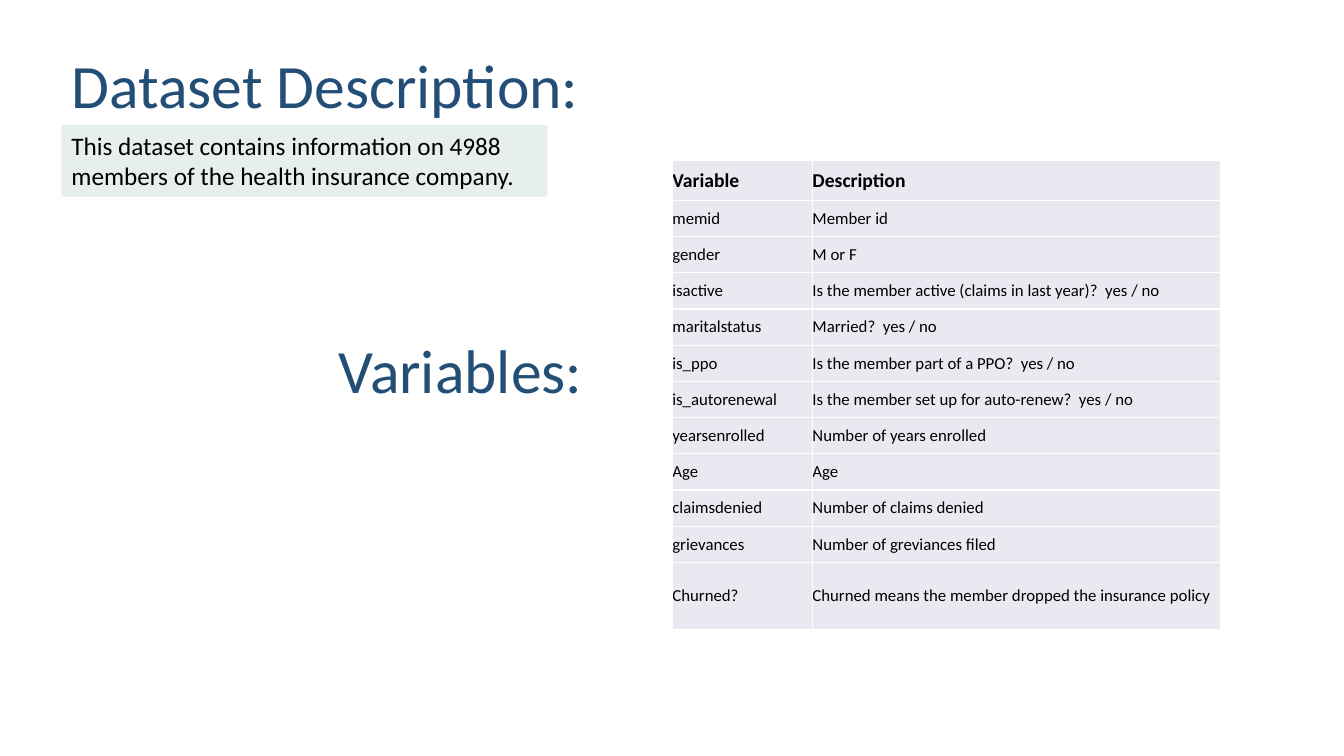
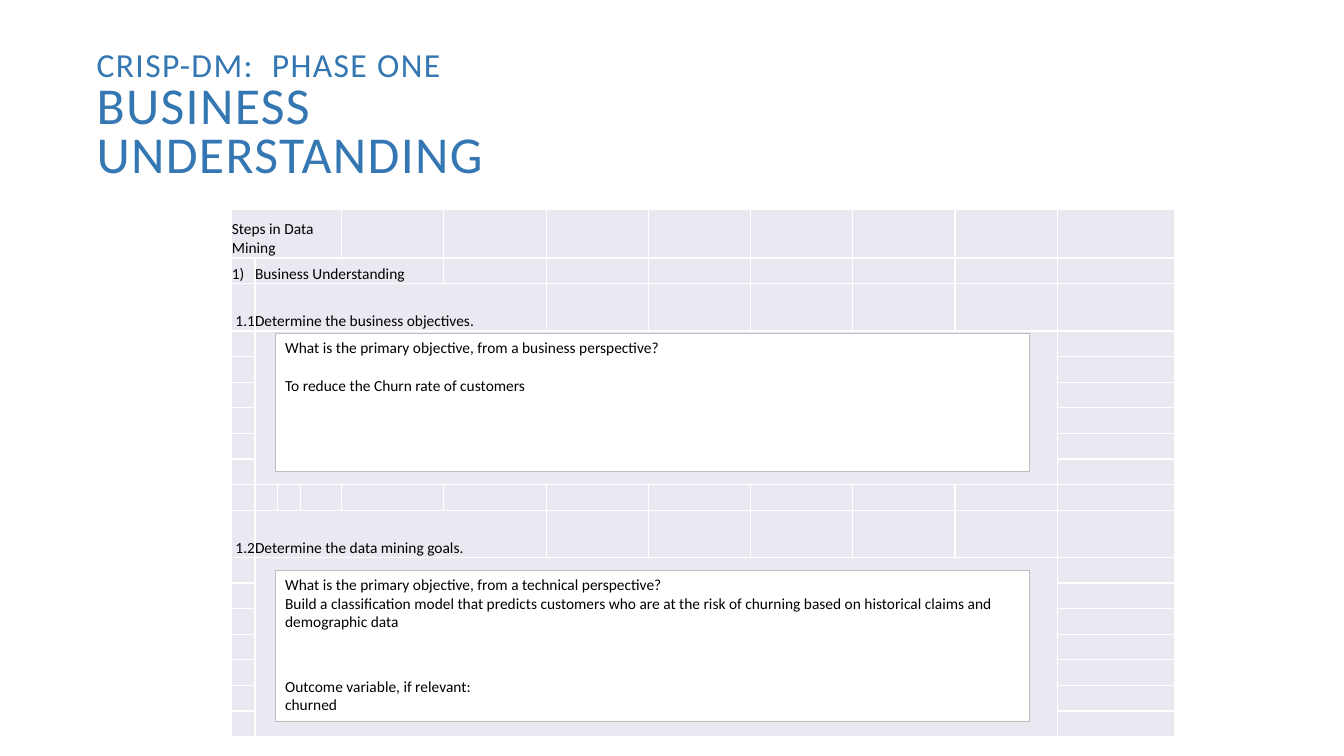
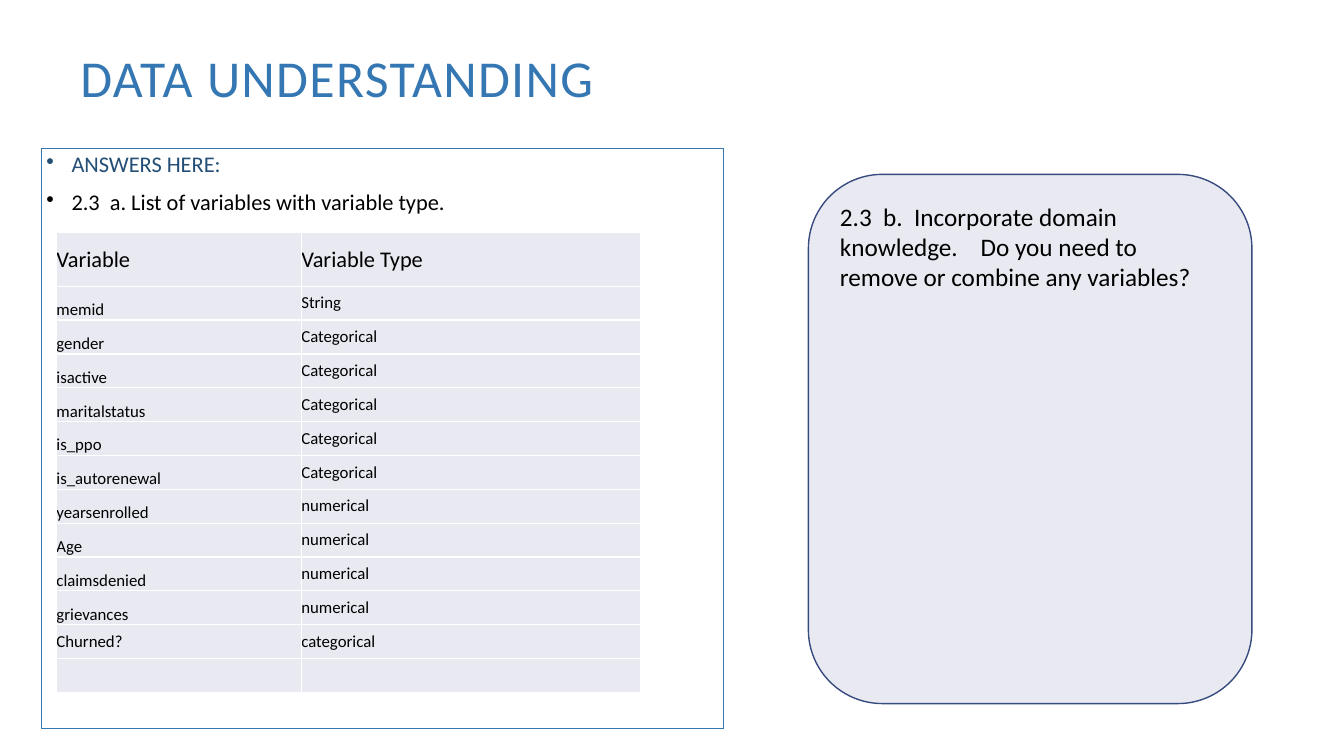
from collections import namedtuple
from dataclasses import dataclass

from lxml import etree
from pptx import Presentation
from pptx.dml.color import RGBColor
from pptx.enum.shapes import MSO_SHAPE
from pptx.enum.text import MSO_ANCHOR, PP_ALIGN
from pptx.oxml.ns import qn
from pptx.util import Inches, Pt

RECT, ROUND = MSO_SHAPE.RECTANGLE, MSO_SHAPE.ROUNDED_RECTANGLE
TOP, MIDDLE, BOTTOM = MSO_ANCHOR.TOP, MSO_ANCHOR.MIDDLE, MSO_ANCHOR.BOTTOM
LEFT, RIGHT = PP_ALIGN.LEFT, PP_ALIGN.RIGHT
UNIT = Inches(0.1)


@dataclass(frozen=True)
class Theme:
    font: str = "Calibri"
    black: str = "000000"
    white: str = "FFFFFF"
    navy: str = "234F77"
    blue: str = "3477B2"
    outline: str = "374B7F"
    gray: str = "BDBDBD"
    cell: str = "E9EAF1"
    mint: str = "E7EFEC"
    heading: int = 44
    title: int = 37
    kicker: int = 24
    lead: int = 18
    body: int = 16
    header: int = 14
    small: int = 12
    tiny: int = 11
    tiny_line: float = 13.4
    body_line: float = 19.5


T = Theme()


class Box(namedtuple("Box", "x y w h")):
    def sub(self, x, y, w, h):
        return Box(self.x + x, self.y + y, w, h)

    def emu(self):
        return [round(v * UNIT) for v in self]


SLIDE = Box(0, 0, 133.33, 75)


def rgb(color):
    return RGBColor.from_string(color)


def write(p, text, size=T.tiny, color=T.black, bold=False, tracking=0,
          align=LEFT, before=0, after=0, spacing=1.0):
    p.alignment, p.line_spacing = align, spacing
    p.space_before, p.space_after = Pt(before), Pt(after)
    r = p.add_run()
    r.text = text
    f = r.font
    f.name, f.size, f.bold = T.font, Pt(size), bold
    f.color.rgb = rgb(color)
    if tracking:
        r._r.get_or_add_rPr().set("spc", str(tracking * 100))


def next_paragraph(tf, index):
    return tf.paragraphs[0] if index == 0 else tf.add_paragraph()


def add_text(s, box, runs, **fmt):
    tf = s.shapes.add_textbox(*box.emu()).text_frame
    tf.word_wrap, tf.vertical_anchor = True, MIDDLE
    for text, size in runs:
        write(tf.paragraphs[0], text, size, **fmt)


def add_heading(s, box, text):
    add_text(s, box, [(text, T.heading)], color=T.navy, spacing=0.9)


def add_caps_title(s, box, runs):
    add_text(s, box, runs, color=T.blue, tracking=1, spacing=0.8, after=6)


def add_panel(s, box, paragraphs, kind=RECT, fill=None, line=None, width=0.75):
    sp = s.shapes.add_shape(kind, *box.emu())
    sp.shadow.inherit = False
    if fill:
        sp.fill.solid()
        sp.fill.fore_color.rgb = rgb(fill)
    else:
        sp.fill.background()
    if line:
        sp.line.color.rgb = rgb(line)
        sp.line.width = Pt(width)
    else:
        sp.line.fill.background()
    tf = sp.text_frame
    tf.word_wrap, tf.vertical_anchor = True, TOP
    for i, (text, fmt) in enumerate(paragraphs):
        write(next_paragraph(tf, i), text, **fmt)
    return tf


def style_cell(cell, size):
    cell.margin_left = cell.margin_right = cell.margin_top = cell.margin_bottom = 0
    cell.fill.solid()
    cell.fill.fore_color.rgb = rgb(T.cell)
    tcPr = cell._tc.get_or_add_tcPr()
    for i, side in enumerate(("lnL", "lnR", "lnT", "lnB")):
        ln = etree.Element(qn("a:" + side), w=str(Pt(1)))
        fill = etree.SubElement(ln, qn("a:solidFill"))
        etree.SubElement(fill, qn("a:srgbClr"), val=T.white)
        tcPr.insert(i, ln)
    if not cell.text_frame.text:
        p = cell.text_frame.paragraphs[0]._p
        etree.SubElement(p, qn("a:endParaRPr"), sz=str(size * 100))


def add_grid(s, box, cols, rows, entries, spans=(), size=T.small):
    tbl = s.shapes.add_table(len(rows), len(cols), *box.emu()).table
    tbl.first_row = tbl.horz_banding = False
    for col, share in zip(tbl.columns, cols):
        col.width = round(box.w * share / sum(cols) * UNIT)
    for row, share in zip(tbl.rows, rows):
        row.height = round(box.h * share / sum(rows) * UNIT)
    for (row, col), (text, anchor, fmt) in entries.items():
        cell = tbl.cell(row, col)
        cell.vertical_anchor = anchor
        write(cell.text_frame.paragraphs[0], text, **{"size": size, **fmt})
    for row, col, height, width in spans:
        tbl.cell(row, col).merge(tbl.cell(row + height - 1, col + width - 1))
    for cell in tbl.iter_cells():
        style_cell(cell, size)


def variable_entries(header, records, header_fmt, name_anchor):
    entries = {(0, c): (text, MIDDLE, header_fmt) for c, text in enumerate(header)}
    for r, (name, detail) in enumerate(records, 1):
        anchor = MIDDLE if name == "Churned?" else name_anchor
        entries[r, 0] = (name, anchor, {})
        entries[r, 1] = (detail, MIDDLE, {})
    return entries


VARIABLES = [
    ("memid", "Member id", "String"),
    ("gender", "M or F", "Categorical"),
    ("isactive", "Is the member active (claims in last year)?  yes / no", "Categorical"),
    ("maritalstatus", "Married?  yes / no", "Categorical"),
    ("is_ppo", "Is the member part of a PPO?  yes / no", "Categorical"),
    ("is_autorenewal", "Is the member set up for auto-renew?  yes / no", "Categorical"),
    ("yearsenrolled", "Number of years enrolled", "numerical"),
    ("Age", "Age", "numerical"),
    ("claimsdenied", "Number of claims denied", "numerical"),
    ("grievances", "Number of greviances filed", "numerical"),
    ("Churned?", "Churned means the member dropped the insurance policy", "categorical"),
]


def dataset_slide(s, box):
    add_heading(s, box.sub(6.1, 1.5, 115, 14.5), "Dataset Description:")
    add_heading(s, box.sub(32.6, 29.8, 30.6, 14.5), "Variables:")
    add_panel(s, box.sub(6.1, 12.4, 48.2, 7.1), [
        ("This dataset contains information on 4988 members of the health "
         "insurance company.", {"size": T.lead})], fill=T.mint)
    entries = variable_entries(
        ("Variable", "Description"), [(name, text) for name, text, _ in VARIABLES],
        {"size": T.header, "bold": True}, MIDDLE)
    add_grid(s, box.sub(66.7, 15.9, 54.4, 46.6), [1.39, 4.05],
             [0.4] + [0.36] * 10 + [0.67], entries)


def steps_region(s, box):
    number = {"align": RIGHT}
    entries = {
        (0, 0): ("Steps in Data Mining", BOTTOM, {}),
        (1, 0): ("1)", BOTTOM, {}),
        (1, 1): ("Business Understanding", BOTTOM, {}),
        (2, 0): ("1.1", BOTTOM, number),
        (2, 1): ("Determine the business objectives.", BOTTOM, {}),
        (10, 0): ("1.2", BOTTOM, number),
        (10, 1): ("Determine the data mining goals.", BOTTOM, {}),
    }
    spans = [(0, 0, 1, 4), (1, 1, 1, 4), (2, 1, 1, 5), (3, 1, 6, 10),
             (10, 1, 1, 5), (11, 1, 7, 10)]
    rows = [2.54] * 18
    rows[0], rows[2], rows[10] = 4.8, 4.7, 4.7
    cols = [2.3, 2.2, 2.3, 4.1] + [10.14] * 7 + [11.6]
    add_grid(s, box, cols, rows, entries, spans, T.tiny)
    answers = [
        (12.3, 13.7, [
            ("What is the primary objective, from a business perspective?", {}),
            ("To reduce the Churn rate of customers", {"before": T.tiny_line})]),
        (35.8, 15, [
            ("What is the primary objective, from a technical perspective?", {}),
            ("Build a classification model that predicts customers who are at the "
             "risk of churning based on historical claims and demographic data", {}),
            ("Outcome variable, if relevant:", {"before": T.tiny_line + T.body_line}),
            ("churned", {})]),
    ]
    for top, height, paragraphs in answers:
        add_panel(s, box.sub(4.3, top, 74.8, height), paragraphs,
                  fill=T.white, line=T.gray)


def business_slide(s, box):
    steps_region(s, box.sub(23, 20.8, 93.5, 52.3))
    add_caps_title(s, box.sub(8.6, 3.5, 55.1, 16.4), [
        ("CRISP-DM:  PHASE ONE ", T.kicker), ("BUSINESS UNDERSTANDING", T.title)])


def answers_region(s, box):
    fmt = {"size": T.body, "spacing": 0.9, "before": 10}
    tf = add_panel(s, box, [
        ("ANSWERS HERE:", {**fmt, "color": T.navy}),
        ("2.3  a. List of variables with variable type.", fmt)], line=T.blue)
    tf.margin_left = tf.margin_right = tf.margin_top = tf.margin_bottom = Inches(0.05)
    for p in tf.paragraphs:
        pPr = p._p.get_or_add_pPr()
        pPr.set("marL", str(Inches(0.25)))
        pPr.set("indent", str(-Inches(0.25)))
        etree.SubElement(pPr, qn("a:buChar"), char="•")
    entries = variable_entries(
        ("Variable", "Variable Type"), [(name, kind) for name, _, kind in VARIABLES],
        {"size": T.body}, BOTTOM)
    add_grid(s, box.sub(1.5, 8.4, 58, 45.6), [2.43, 3.37],
             [0.53] + [0.336] * 12, entries)


def data_slide(s, box):
    add_caps_title(s, box.sub(7, 0, 64.9, 16.4), [("DATA UNDERSTANDING", T.title)])
    answers_region(s, box.sub(4.1, 14.7, 67.7, 57.6))
    add_panel(s, box.sub(80.2, 17.3, 44, 52.5), [
        ("2.3  b.  Incorporate domain knowledge.    Do you need to remove or "
         "combine any variables?", {"size": T.lead})],
        kind=ROUND, fill=T.cell, line=T.outline, width=1)


def main():
    prs = Presentation()
    prs.slide_width, prs.slide_height = SLIDE.emu()[2:]
    blank = prs.slide_layouts[6]
    for build in (dataset_slide, business_slide, data_slide):
        build(prs.slides.add_slide(blank), SLIDE)
    prs.save("out.pptx")


if __name__ == "__main__":
    main()
